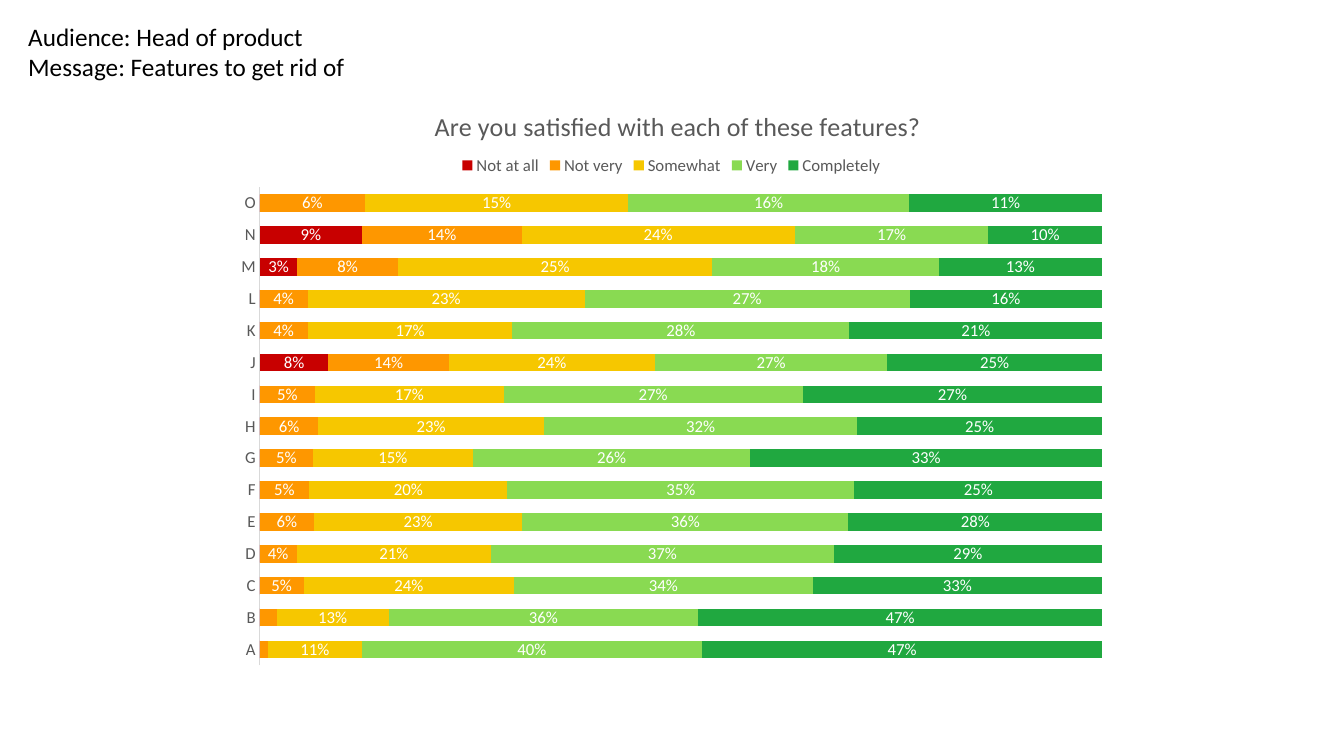
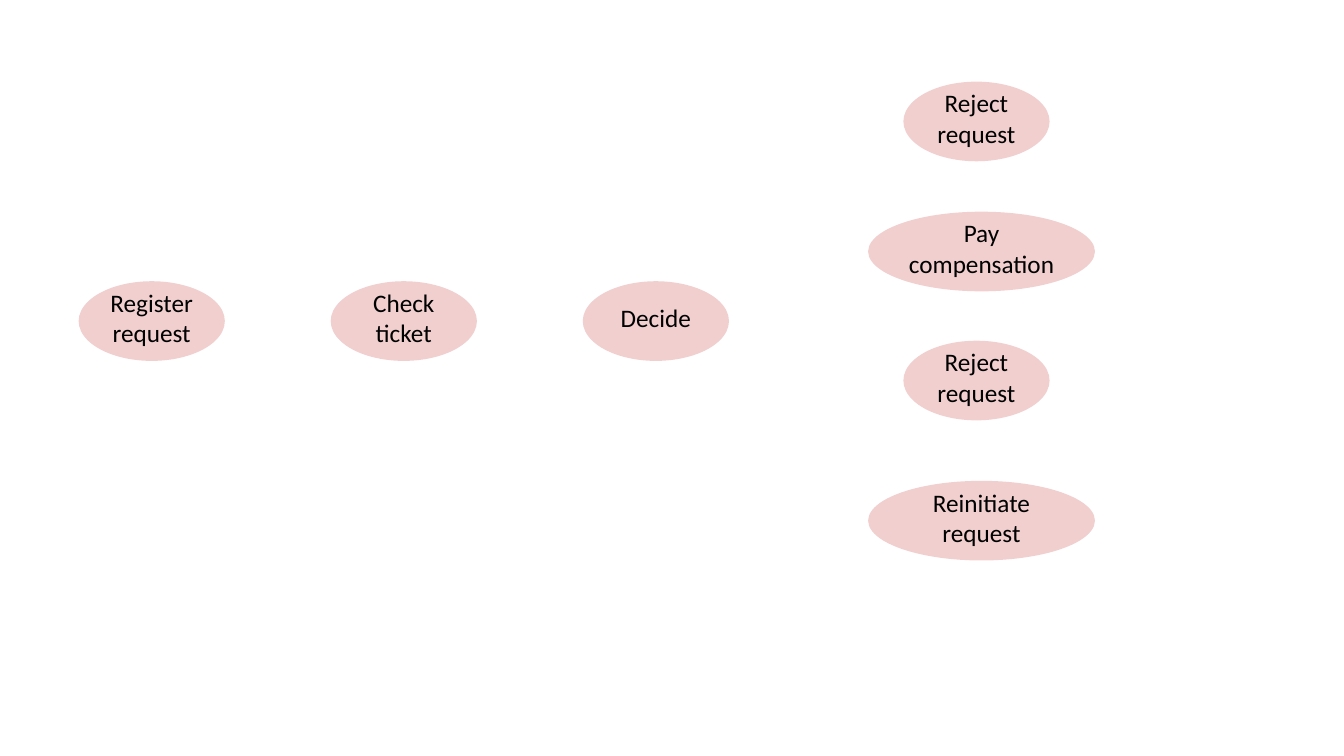
from dataclasses import dataclass

from lxml import etree
from pptx import Presentation
from pptx.chart.data import CategoryChartData
from pptx.dml.color import RGBColor
from pptx.enum.chart import XL_CHART_TYPE as ChartType
from pptx.enum.chart import XL_LABEL_POSITION as LabelPosition
from pptx.enum.chart import XL_LEGEND_POSITION as LegendPosition
from pptx.enum.chart import XL_TICK_MARK as TickMark
from pptx.enum.shapes import MSO_SHAPE as Shape
from pptx.enum.text import MSO_ANCHOR as Anchor
from pptx.enum.text import MSO_AUTO_SIZE as AutoSize
from pptx.enum.text import PP_ALIGN as Align
from pptx.oxml.ns import qn
from pptx.util import Inches, Pt


@dataclass(frozen=True)
class Theme:
    font: str = "Calibri"
    text: str = "000000"
    muted: str = "595959"
    axis: str = "D9D9D9"
    label: str = "FFFFFF"
    step: str = "F1CFCF"
    ratings: tuple = ("C80000", "FE9700", "F6C700", "89DA52", "20A840")
    body_size: float = 18
    chart_title_size: float = 18.6
    chart_size: float = 12


def color(value):
    return RGBColor.from_string(value)


def place(element, after=None, inner=False, **position):
    """Give a chart part a manual layout, as fractions of the chart."""
    for old in element.findall(qn("c:layout")):
        element.remove(old)
    layout = etree.Element(qn("c:layout"))
    manual = etree.SubElement(layout, qn("c:manualLayout"))
    settings = {"layoutTarget": "inner"} if inner else {}
    settings |= {"xMode": "edge", "yMode": "edge"} | position
    for name, value in settings.items():
        etree.SubElement(manual, qn(f"c:{name}")).set("val", str(value))
    if after:
        element.find(qn(after)).addnext(layout)
    else:
        element.insert(0, layout)


class SlideBuilder:
    TITLE_ONLY, BLANK = 5, 6

    def __init__(self, theme):
        self.theme = theme
        self.deck = Presentation()
        self.deck.slide_width = Inches(13.33)
        self.deck.slide_height = Inches(7.5)
        self.page = None

    def new_page(self, layout):
        self.page = self.deck.slides.add_slide(self.deck.slide_layouts[layout])

    def style(self, font, size, value):
        font.name = self.theme.font
        font.size = Pt(size)
        font.color.rgb = color(value)

    def set_lines(self, frame, lines, align):
        frame.text = "\n".join(lines)
        for para in frame.paragraphs:
            para.alignment = align
            self.style(para.font, self.theme.body_size, self.theme.text)

    def title(self, lines):
        box = self.page.shapes.title
        box.left, box.top = Inches(0.18), Inches(0.16)
        box.width, box.height = Inches(7.45), Inches(0.71)
        frame = box.text_frame
        frame.auto_size = AutoSize.NONE
        frame.vertical_anchor = Anchor.TOP
        self.set_lines(frame, lines, Align.LEFT)

    def step(self, left, top, width, lines):
        oval = self.page.shapes.add_shape(
            Shape.OVAL, Inches(left), Inches(top), Inches(width), Inches(0.79))
        oval.shadow.inherit = False
        oval.fill.solid()
        oval.fill.fore_color.rgb = color(self.theme.step)
        oval.line.fill.background()
        frame = oval.text_frame
        frame.word_wrap = False
        frame.vertical_anchor = Anchor.MIDDLE
        frame.margin_left = frame.margin_right = frame.margin_top = 0
        frame.margin_bottom = Inches(0.07)
        self.set_lines(frame, lines, Align.CENTER)

    def rating_chart(self, title, categories, ratings):
        theme = self.theme
        data = CategoryChartData(number_format="0%")
        data.categories = categories
        for name, values in ratings.items():
            data.add_series(name, values)
        chart = self.page.shapes.add_chart(
            ChartType.BAR_STACKED_100, Inches(2.22), Inches(0.79),
            Inches(8.89), Inches(5.93), data).chart
        self.style(chart.font, theme.chart_size, theme.muted)

        # Chart title and legend
        chart.has_title = True
        frame = chart.chart_title.text_frame
        frame.text = title
        font = frame.paragraphs[0].font
        self.style(font, theme.chart_title_size, theme.muted)
        font.bold = False
        place(chart.chart_title._element, after="c:tx", x=0.23, y=0.04)
        chart.has_legend = True
        chart.legend.position = LegendPosition.TOP
        chart.legend.include_in_layout = False
        self.style(chart.legend.font, theme.chart_size, theme.muted)
        place(chart.legend._element, after="c:legendPos", x=0.26, y=0.12)

        # Axes
        axis = chart.category_axis
        axis.major_tick_mark = axis.minor_tick_mark = TickMark.NONE
        axis.format.line.color.rgb = color(theme.axis)
        axis.format.line.width = Pt(0.75)
        self.style(axis.tick_labels.font, theme.chart_size, theme.muted)
        chart.value_axis.has_major_gridlines = False
        chart.value_axis.visible = False

        # Bars, labelled only where the value is above 2%
        plot = chart.plots[0]
        plot.gap_width, plot.overlap = 81, 100
        plot.vary_by_categories = False
        for series, fill in zip(plot.series, theme.ratings):
            series.format.fill.solid()
            series.format.fill.fore_color.rgb = color(fill)
            labels = series.data_labels
            labels.show_value = True
            labels.number_format = '[>0.02]0%;""'
            labels.number_format_is_linked = False
            labels.position = LabelPosition.CENTER
            self.style(labels.font, theme.chart_size, theme.label)
        plot_area = chart._chartSpace.find(".//" + qn("c:plotArea"))
        place(plot_area, inner=True, x=0.04, y=0.18, w=0.94, h=0.8)


RATINGS = {
    "Not at all": [0, 0, 0, 0, 0, 0, 0, 0, 0, 0.08, 0, 0, 0.03, 0.09, 0],
    "Not very": [0.01, 0.02, 0.05, 0.04, 0.06, 0.05, 0.05, 0.06, 0.05, 0.14,
                 0.04, 0.04, 0.08, 0.14, 0.06],
    "Somewhat": [0.11, 0.13, 0.24, 0.21, 0.23, 0.2, 0.15, 0.23, 0.17, 0.24,
                 0.17, 0.23, 0.25, 0.24, 0.15],
    "Very": [0.4, 0.36, 0.34, 0.37, 0.36, 0.35, 0.26, 0.32, 0.27, 0.27,
             0.28, 0.27, 0.18, 0.17, 0.16],
    "Completely": [0.47, 0.47, 0.33, 0.29, 0.28, 0.25, 0.33, 0.25, 0.27, 0.25,
                   0.21, 0.16, 0.13, 0.1, 0.11],
}
MAIN_STEPS = [("Register", "request"), ("Check", "ticket"), ("Decide",)]
NARROW, WIDE = (8.96, 1.45), (8.61, 2.25)  # left and width
OUTCOMES = [
    (0.81, NARROW, ("Reject", "request")),
    (2.1, WIDE, ("Pay", "compensation")),
    (3.38, NARROW, ("Reject", "request")),
    (4.77, WIDE, ("Reinitiate", "request")),
]


def main():
    builder = SlideBuilder(Theme())

    # Slide 1: feature satisfaction
    builder.new_page(builder.TITLE_ONLY)
    builder.rating_chart("Are you satisfied with each of these features?",
                         list("ABCDEFGHIJKLMNO"), RATINGS)
    builder.title(["Audience: Head of product",
                   "Message: Features to get rid of"])

    # Slide 2: request process
    builder.new_page(builder.BLANK)
    for index, lines in enumerate(MAIN_STEPS):
        builder.step(0.78 + 2.5 * index, 2.79, 1.45, lines)
    for top, (left, width), lines in OUTCOMES:
        builder.step(left, top, width, lines)

    builder.deck.save("out.pptx")


if __name__ == "__main__":
    main()
